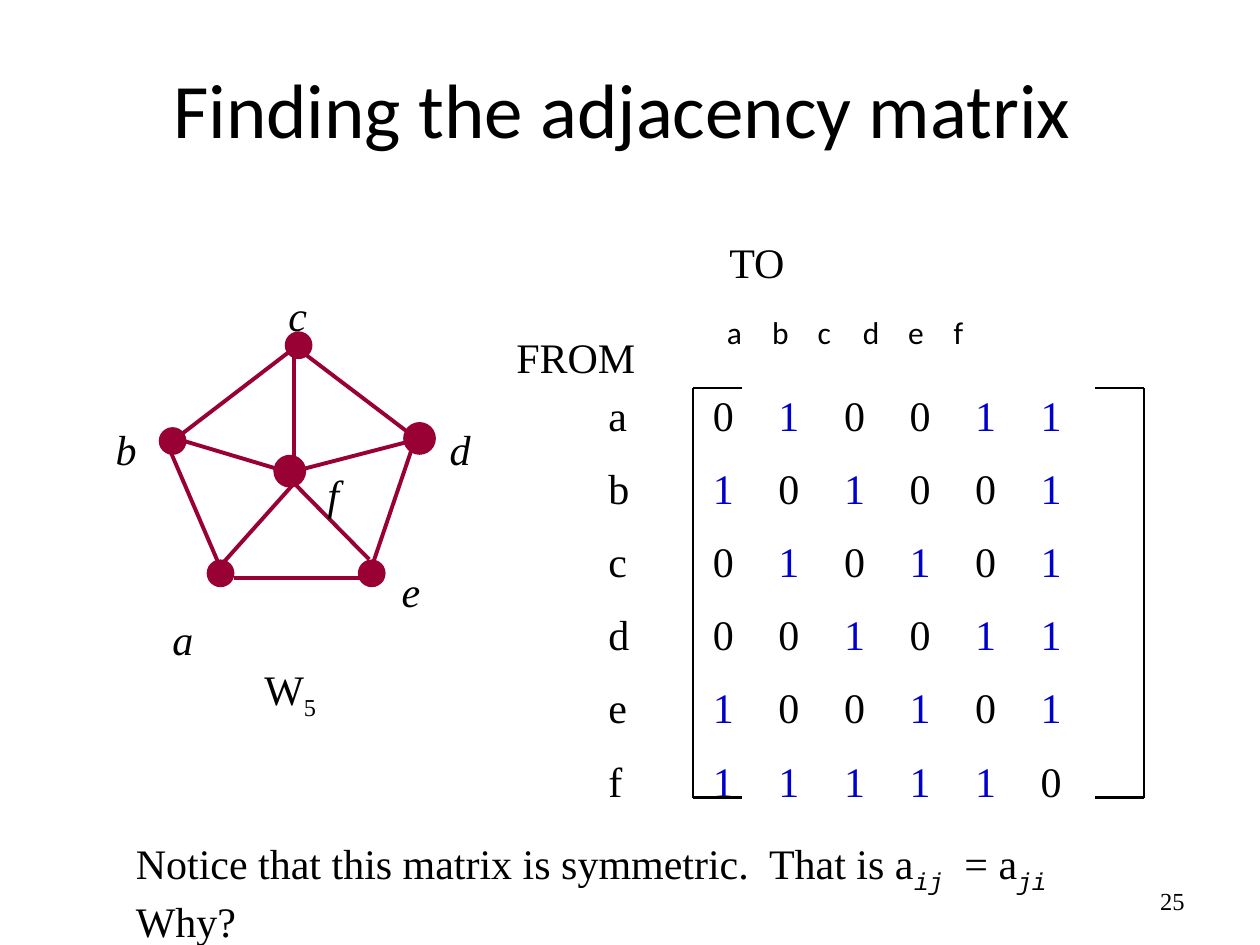
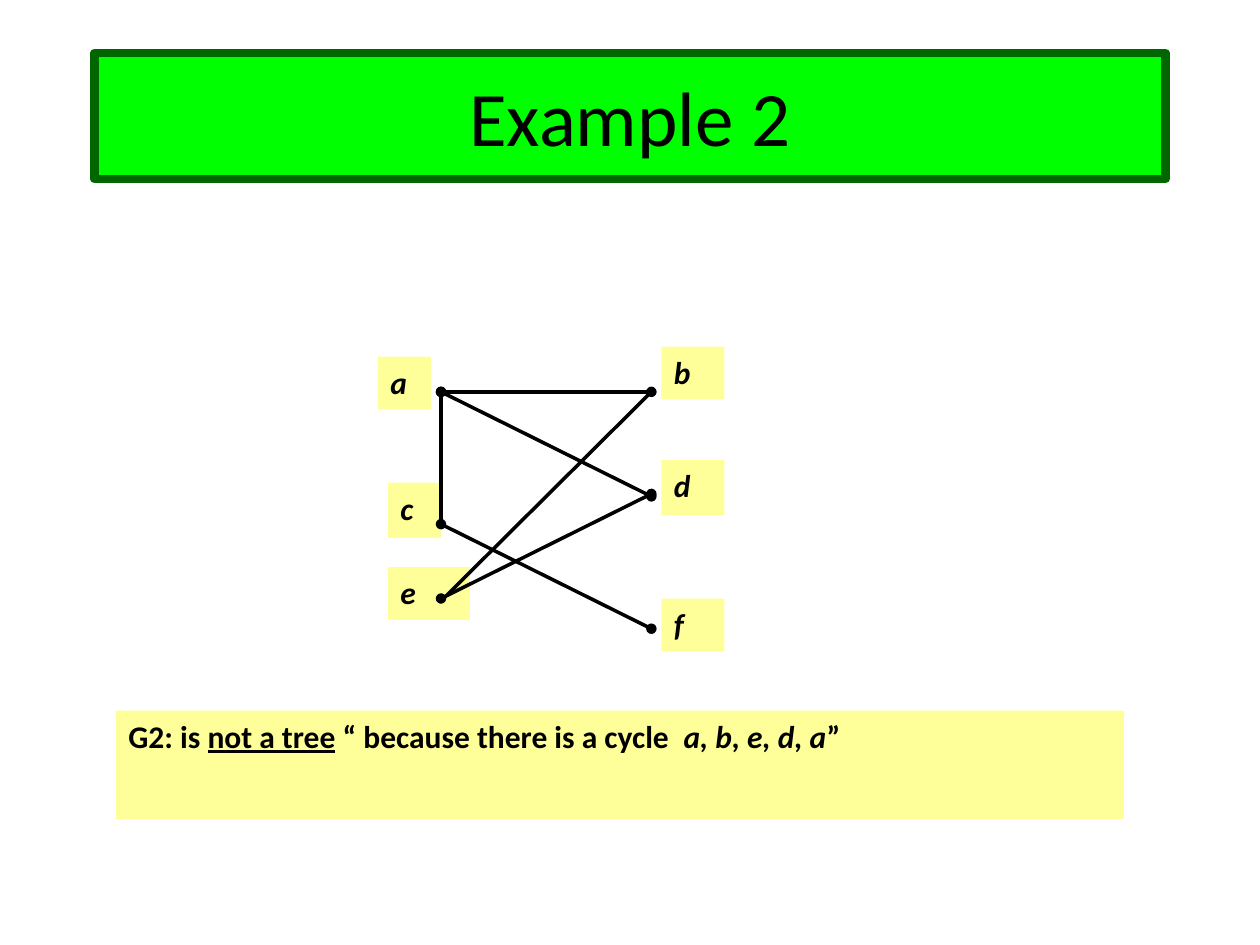
import pptx
import pptx.util
import pptx.dml.color
import pptx.enum.shapes
import pptx.enum.text
import pptx.oxml.ns
from lxml import etree

COLUMNS, ROWS = 10, 7.5
CELL = pptx.util.Inches(1)
BLACK, CRIMSON, BLUE, YELLOW = "000000", "990033", "0000CC", "FFFF99"
LIME, GREEN = "00FF00", "006600"
SERIF, SANS, MONO = "Times New Roman", "Calibri", "Courier New"
ALIGN, ANCHOR = pptx.enum.text.PP_ALIGN, pptx.enum.text.MSO_ANCHOR
SHAPE = pptx.enum.shapes.MSO_SHAPE

BODY = dict(font=SERIF, size=24)
LETTER = dict(BODY, italic=True)
INDEX = dict(font=MONO, italic=True, baseline=-25)
STRONG = dict(font=SANS, size=18, bold=True)

WHEEL = dict(
    title="Finding the adjacency matrix",
    title_place=(0.65, 0.23, 8.58, 1.25),
    edges=[
        ((2.42, 2.81), (3.29, 3.47)), ((2.33, 2.8), (2.33, 3.76)),
        ((1.3, 3.46), (1.76, 4.53)), ((1.41, 3.47), (2.39, 2.72)),
        ((1.36, 3.47), (2.33, 3.76)), ((1.67, 4.58), (2.34, 3.83)),
        ((2.91, 4.59), (1.86, 4.59)), ((2.95, 4.5), (3.29, 3.5)),
        ((2.26, 3.76), (2.93, 4.44)), ((2.26, 3.76), (3.38, 3.47)),
    ],
    nodes=[
        (2.37, 2.74, 0.22), (1.37, 3.5, 0.22), (3.33, 3.48, 0.26),
        (1.75, 4.55, 0.22), (2.95, 4.55, 0.22), (2.3, 3.74, 0.26),
    ],
    letters=[
        ("a", 1.27, 4.82), ("b", 0.82, 3.31), ("c", 2.19, 2.25),
        ("d", 3.47, 3.31), ("e", 3.09, 4.44), ("f", 2.5, 3.67),
    ],
    name=[("W", {}), ("5", dict(baseline=-25))],
    matrix=dict(a="010011", b="101001", c="010101",
                d="001011", e="100101", f="111110"),
    directions=[("FROM", 4, 2.58), ("TO", 5.69, 1.83)],
    notice=[
        [("Notice that this matrix is symmetric.  That is a", {}),
         ("ij", INDEX), ("  = a", {}), ("ji", INDEX)],
        [("Why?", {})],
    ],
    number="25",
)

CYCLE = dict(
    title="Example 2",
    title_place=(0.75, 0.42, 8.5, 1),
    dotted_edges=[
        ((3.5, 3.11), (5.17, 3.11)), ((3.5, 3.11), (5.17, 3.94)),
        ((3.5, 4.75), (5.17, 3.92)), ((3.5, 4.16), (5.17, 4.99)),
    ],
    plain_edges=[((5.17, 3.11), (3.5, 4.77)), ((3.5, 3.08), (3.5, 4.17))],
    letters=[
        ("a", (3, 2.83, 0.42, 0.42)), ("b", (5.25, 2.75, 0.5, 0.42)),
        ("c", (3.08, 3.83, 0.42, 0.44)), ("d", (5.25, 3.65, 0.5, 0.44)),
        ("e", (3.08, 4.5, 0.65, 0.42)), ("f", (5.25, 4.75, 0.5, 0.42)),
    ],
    verdict=[
        ("G2: is ", {}), ("not a tree", dict(underline=True)),
        (" “ because there is a cycle  ", {}),
        ("a, b, e, d, a", dict(italic=True)), ("”", {}),
    ],
)


def grid(*cells):
    return [round(cell * CELL) for cell in cells]


def color(hex_string):
    return pptx.dml.color.RGBColor.from_string(hex_string)


def style_run(run, font, size, ink=BLACK, bold=False, italic=False,
              underline=False, baseline=0):
    run.font.name = font
    run.font.size = pptx.util.Pt(size)
    run.font.color.rgb = color(ink)
    run.font.bold, run.font.italic = bold, italic
    run.font.underline = underline
    if baseline:
        run.font._element.set("baseline", str(baseline * 1000))


def add_tabs(paragraph, stops):
    tabs = etree.SubElement(paragraph._p.get_or_add_pPr(), pptx.oxml.ns.qn("a:tabLst"))
    for stop in stops:
        etree.SubElement(tabs, pptx.oxml.ns.qn("a:tab"), pos=str(grid(stop)[0]), algn="l")


def write(frame, lines, style, anchor=ANCHOR.TOP, align=ALIGN.LEFT, tabs=(), gap=0):
    frame.word_wrap = True
    frame.vertical_anchor = anchor
    for position, pieces in enumerate(lines):
        paragraph = frame.add_paragraph() if position else frame.paragraphs[0]
        if tabs:
            add_tabs(paragraph, tabs)
        paragraph.alignment = align
        if position and gap:
            paragraph.space_before = pptx.util.Pt(gap)
        for words, changes in pieces:
            run = paragraph.add_run()
            run.text = words
            style_run(run, **{**style, **changes})


def add_text(slide, place, lines, style, **layout):
    box = slide.shapes.add_textbox(*grid(*place))
    write(box.text_frame, lines, style, **layout)


def add_filled(slide, kind, place, fill):
    shape = slide.shapes.add_shape(kind, *grid(*place))
    shape.shadow.inherit = False
    shape.fill.solid()
    shape.fill.fore_color.rgb = color(fill)
    shape.line.fill.background()
    return shape


def add_note(slide, place, pieces, style):
    write(add_filled(slide, SHAPE.RECTANGLE, place, YELLOW).text_frame, [pieces], style)


def add_edge(slide, start, end, ink, width, dotted=False):
    edge = slide.shapes.add_connector(
        pptx.enum.shapes.MSO_CONNECTOR.STRAIGHT, *grid(*start, *end))
    edge.line.color.rgb = color(ink)
    edge.line.width = pptx.util.Pt(width)
    properties = edge._element.spPr
    if dotted:
        outline = properties.find(pptx.oxml.ns.qn("a:ln"))
        for tip in ("a:headEnd", "a:tailEnd"):
            etree.SubElement(outline, pptx.oxml.ns.qn(tip), type="oval")
    etree.SubElement(properties, pptx.oxml.ns.qn("a:effectLst"))


def add_titled_slide(deck, content):
    slide = deck.slides.add_slide(deck.slide_layouts[5])
    title = slide.shapes.title
    title.left, title.top, title.width, title.height = grid(*content["title_place"])
    write(title.text_frame, [[(content["title"], {})]], dict(font=SANS, size=44),
          anchor=ANCHOR.MIDDLE, align=ALIGN.CENTER)
    return slide


def add_brackets(slide, left, right, top, bottom, lip):
    for side, inner in ((left, left + lip), (right, right - lip)):
        add_edge(slide, (side, top), (side, bottom), BLACK, 1.5)
        for level in (top, bottom):
            add_edge(slide, (side, level), (inner, level), BLACK, 1.5)


def add_matrix(slide, matrix):
    size = len(matrix)
    add_text(slide, (5.67, 2.08, 3.5, 0.75), [[("\t".join(matrix), {})]],
             dict(font=SANS, size=18), anchor=ANCHOR.BOTTOM,
             tabs=[0.36 * column for column in range(1, size)])
    lines = [
        [(letter, {})] + [("\t" + value, dict(ink=BLUE if value == "1" else BLACK))
                          for value in values]
        for letter, values in matrix.items()
    ]
    add_text(slide, (4.73, 3.04, 4.19, 3.33), lines, BODY, gap=13,
             tabs=[0.83 + 0.52 * column for column in range(size)])
    add_brackets(slide, 5.5, 9.08, 3.08, 6.33, 0.39)


def build_wheel(deck):
    slide = add_titled_slide(deck, WHEEL)
    for start, end in WHEEL["edges"]:
        add_edge(slide, start, end, CRIMSON, 2.25)
    for x, y, size in WHEEL["nodes"]:
        add_filled(slide, SHAPE.OVAL, (x - size / 2, y - size / 2, size, size), CRIMSON)
    for letter, x, y in WHEEL["letters"]:
        add_text(slide, (x, y, 0.43, 0.43), [[(letter, {})]], LETTER)
    add_text(slide, (2, 5.22, 0.73, 0.5), [WHEEL["name"]], BODY)
    add_matrix(slide, WHEEL["matrix"])
    for direction, x, y in WHEEL["directions"]:
        add_text(slide, (x, y, 1.2, 0.43), [[(direction, {})]], BODY)
    add_text(slide, (0.98, 6.6, 8.2, 0.9), WHEEL["notice"], BODY)
    add_text(slide, (7.17, 6.95, 2.33, 0.4), [[(WHEEL["number"], {})]],
             dict(font=SERIF, size=14), anchor=ANCHOR.MIDDLE, align=ALIGN.RIGHT)


def build_cycle(deck):
    slide = add_titled_slide(deck, CYCLE)
    banner = slide.shapes.title
    banner.fill.solid()
    banner.fill.fore_color.rgb = color(LIME)
    banner.line.color.rgb = color(GREEN)
    banner.line.width = pptx.util.Pt(5)
    for letter, place in CYCLE["letters"]:
        add_note(slide, place, [(letter, {})], dict(STRONG, italic=True))
    add_note(slide, (0.92, 5.64, 8, 0.86), CYCLE["verdict"], STRONG)
    for group in ("dotted_edges", "plain_edges"):
        for start, end in CYCLE[group]:
            add_edge(slide, start, end, BLACK, 2, dotted=group == "dotted_edges")


def main():
    deck = pptx.Presentation()
    deck.slide_width, deck.slide_height = grid(COLUMNS, ROWS)
    build_wheel(deck)
    build_cycle(deck)
    deck.save("out.pptx")


if __name__ == "__main__":
    main()
